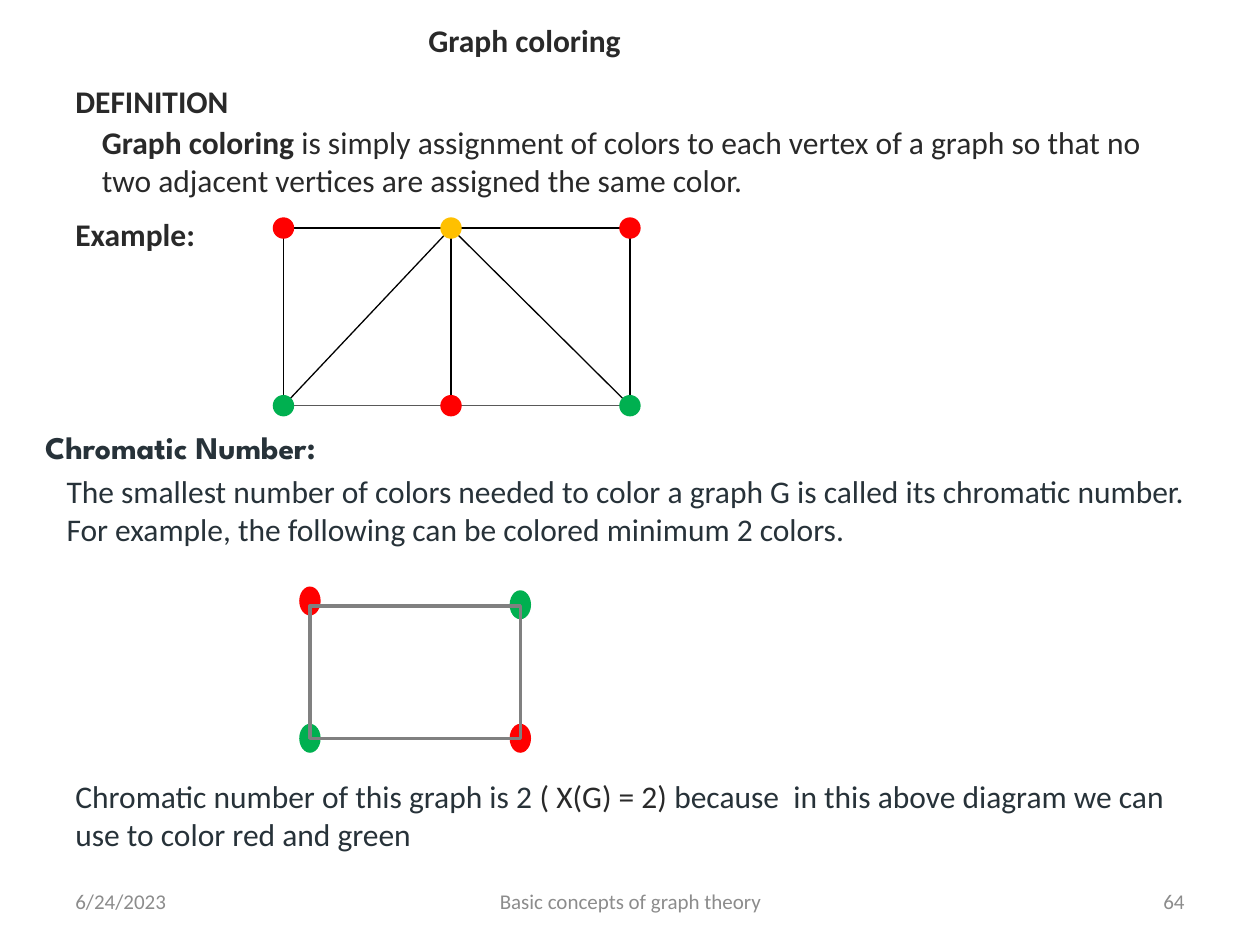
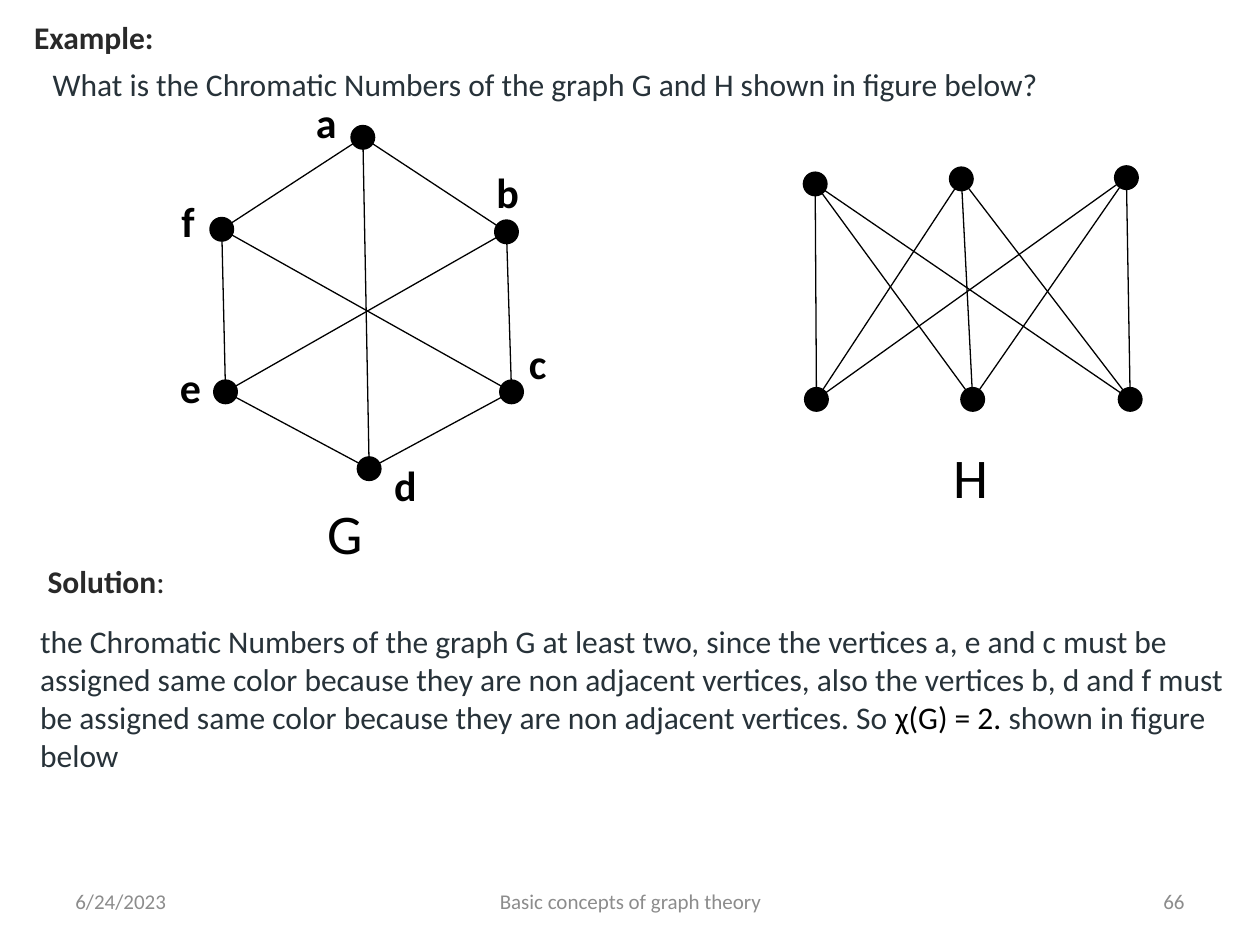
"""Build two slides on graph coloring and the chromatic number."""
import itertools
from dataclasses import dataclass

import lxml.etree
import pptx
import pptx.dml.color
import pptx.enum.shapes
import pptx.enum.text
import pptx.oxml.ns
import pptx.util

PX = 9144
SLIDE_SIZE = (1000, 750)
ALIGN = pptx.enum.text.PP_ALIGN
ANCHOR = pptx.enum.text.MSO_ANCHOR
FIT = pptx.enum.text.MSO_AUTO_SIZE
SHAPE = pptx.enum.shapes.MSO_SHAPE


@dataclass(frozen=True)
class Theme:
    """Colours, fonts and type sizes shared by the slides."""
    heading: str = "292929"
    body: str = "273239"
    black: str = "000000"
    footer: str = "8C8C8C"
    frame: str = "808080"
    soft_edge: str = "595959"
    red: str = "FF0000"
    green: str = "00B050"
    amber: str = "FFC000"
    font: str = "Calibri"
    display_font: str = "League Spartan"
    footer_size: int = 12
    text_size: int = 18
    label_size: int = 24
    graph_size: int = 32
    edge_width: float = 0.75
    frame_width: float = 2


THEME = Theme()
DOT = (17, 17)
OVAL = (17, 23)

FOOTER = [
    ((50, 695, 233, 40), "6/24/2023", ALIGN.LEFT),
    ((342, 695, 317, 40), "Basic concepts of graph theory", ALIGN.CENTER),
    ((717, 695, 233, 40), "{number}", ALIGN.RIGHT),
]

COLORING = {
    "number": 64,
    "title": ((330, 12, 174, 40), "Graph coloring"),
    "headings": [
        ((50, 60, 143, 40), [("DEFINITION", THEME.heading, True)], THEME.font),
        ((50, 166, 116, 40), [("Example:", THEME.heading, True)], THEME.font),
        ((26, 335, 256, 40), [("Chromatic Number:", THEME.body, True)], THEME.display_font),
    ],
    "paragraphs": [
        ((71, 93, 858, 71), [
            ("Graph coloring ", THEME.heading, True),
            ("is simply assignment of colors to each vertex of a graph so that no two "
             "adjacent vertices are assigned the same color.", THEME.heading, False)]),
        ((43, 370, 914, 71), [
            ("The smallest number of colors needed to color a graph G is called its "
             "chromatic number. For example, the following can be colored minimum 2 colors.",
             THEME.body, False)]),
        ((50, 612, 888, 71), [
            ("Chromatic number of this graph is 2 ", THEME.body, False),
            ("( Χ(G) = 2) ", THEME.heading, False),
            ("because  in this above diagram we can use to color red and green",
             THEME.body, False)]),
    ],
}

FAN_COLUMNS = (225, 358, 500)
FAN_ROWS = (181, 322)
FAN_COLORS = [(THEME.red, THEME.amber, THEME.red), (THEME.green, THEME.red, THEME.green)]
FAN_EDGES = [
    ("00", "01"), ("01", "02"), ("00", "10"), ("01", "11"),
    ("02", "12"), ("01", "10"), ("01", "12"),
]
FAN_SOFT_EDGES = [("10", "11"), ("11", "12")]

SQUARE_FRAME = (246, 481, 167, 105)
SQUARE_VERTICES = [
    (246, 477, THEME.red), (413, 480, THEME.green),
    (246, 586, THEME.green), (413, 586, THEME.red),
]

CHROMATIC = {
    "number": 66,
    "title": ((17, 9, 116, 40), "Example:"),
    "headings": [
        ((32, 47, 813, 40), [
            ("What is the Chromatic Numbers of the graph G and H shown in figure below?",
             THEME.body, False)], THEME.font),
        ((28, 441, 120, 40), [("Solution", THEME.heading, True),
                              (":", THEME.heading, False)], THEME.font),
    ],
    "paragraphs": [
        ((22, 489, 965, 131), [
            ("the Chromatic Numbers of the graph G at least two, since the vertices a, e and c "
             "must be assigned same color because they are non adjacent vertices, also the "
             "vertices b, d and f must be assigned same color because they are non adjacent "
             "vertices. So ", THEME.body, False),
            ("χ(G) = 2. ", THEME.black, False),
            ("shown in figure below", THEME.body, False)]),
    ],
}

GRAPH_G = {"a": (288, 109), "b": (402, 184), "c": (406, 311),
           "d": (293, 372), "e": (179, 311), "f": (176, 182)}
GRAPH_H = {"1": (647, 146), "2": (763, 142), "3": (894, 141),
           "4": (648, 317), "5": (772, 317), "6": (897, 317)}
BIPARTITE_GRAPHS = [(GRAPH_G, "ace", "bdf"), (GRAPH_H, "123", "456")]
VERTEX_LABELS = {"a": (241, 72, 37, 50), "b": (384, 127, 38, 50), "c": (410, 263, 34, 50),
                 "d": (303, 360, 38, 50), "e": (133, 282, 37, 50), "f": (134, 150, 31, 50)}
GRAPH_NAMES = {"G": (250, 391, 59, 64), "H": (747, 346, 59, 64)}


def emu(*lengths):
    return [round(length * PX) for length in lengths]


def rgb(color):
    return pptx.dml.color.RGBColor.from_string(color)


def write(box, spans, size=THEME.text_size, font=THEME.font, align=ALIGN.LEFT,
          anchor=ANCHOR.TOP, wrap=True, fit=FIT.SHAPE_TO_FIT_TEXT):
    frame = box.text_frame
    frame.word_wrap = wrap
    frame.auto_size = fit
    frame.vertical_anchor = anchor
    para = frame.paragraphs[0]
    para.alignment = align
    para.font.name = font
    para.font.size = pptx.util.Pt(size)
    for text, color, bold in spans:
        span = para.add_run()
        span.text = text
        span.font.bold = bold
        span.font.color.rgb = rgb(color)


def add_text(page, place, spans, **style):
    write(page.shapes.add_textbox(*emu(*place)), spans, **style)


def add_vertex(page, center, size, color, outline=None):
    width, height = size
    left, top = center[0] - width / 2, center[1] - height / 2
    vertex = page.shapes.add_shape(SHAPE.OVAL, *emu(left, top, width, height))
    vertex.shadow.inherit = False
    vertex.fill.solid()
    vertex.fill.fore_color.rgb = rgb(color)
    if outline:
        vertex.line.color.rgb = rgb(outline)
        vertex.line.width = pptx.util.Pt(THEME.frame_width)
    else:
        vertex.line.fill.background()


def add_edge(page, start, end, color=THEME.black):
    edge = page.shapes.add_connector(
        pptx.enum.shapes.MSO_CONNECTOR.STRAIGHT, *emu(*start, *end))
    edge.line.color.rgb = rgb(color)
    edge.line.width = pptx.util.Pt(THEME.edge_width)
    lxml.etree.SubElement(edge._element.spPr, pptx.oxml.ns.qn("a:effectLst"))


def add_page(deck, content):
    page = deck.slides.add_slide(deck.slide_layouts[5])
    place, text = content["title"]
    title = page.shapes.title
    title.left, title.top, title.width, title.height = emu(*place)
    write(title, [(text, THEME.heading, True)], wrap=False)
    for place, text, align in FOOTER:
        label = text.format(number=content["number"])
        add_text(page, place, [(label, THEME.footer, False)], size=THEME.footer_size,
                 align=align, anchor=ANCHOR.MIDDLE, fit=FIT.NONE)
    for place, spans, font in content["headings"]:
        add_text(page, place, spans, font=font, wrap=False)
    for place, spans in content["paragraphs"]:
        add_text(page, place, spans)
    return page


def draw_fan(page):
    centers = {f"{row}{column}": (x, y) for row, y in enumerate(FAN_ROWS)
               for column, x in enumerate(FAN_COLUMNS)}
    for edges, color in ((FAN_EDGES, THEME.black), (FAN_SOFT_EDGES, THEME.soft_edge)):
        for start, end in edges:
            add_edge(page, centers[start], centers[end], color)
    for center, color in zip(centers.values(), itertools.chain(*FAN_COLORS)):
        add_vertex(page, center, DOT, color)


def draw_square(page):
    for x, y, color in SQUARE_VERTICES:
        add_vertex(page, (x, y), OVAL, color)
    frame = page.shapes.add_shape(SHAPE.RECTANGLE, *emu(*SQUARE_FRAME))
    frame.shadow.inherit = False
    frame.fill.background()
    frame.line.color.rgb = rgb(THEME.frame)
    frame.line.width = pptx.util.Pt(THEME.frame_width)


def draw_bipartite(page):
    for centers, one_side, other_side in BIPARTITE_GRAPHS:
        for start, end in itertools.product(one_side, other_side):
            add_edge(page, centers[start], centers[end])
        for center in centers.values():
            add_vertex(page, center, DOT, THEME.black, THEME.black)
    for name, place in VERTEX_LABELS.items():
        add_text(page, place, [(name, THEME.black, True)], size=THEME.label_size, wrap=False)
    for name, place in GRAPH_NAMES.items():
        add_text(page, place, [(name, THEME.black, False)], size=THEME.graph_size)


def main():
    deck = pptx.Presentation()
    deck.slide_width, deck.slide_height = emu(*SLIDE_SIZE)
    coloring_page = add_page(deck, COLORING)
    draw_fan(coloring_page)
    draw_square(coloring_page)
    draw_bipartite(add_page(deck, CHROMATIC))
    deck.save("out.pptx")


if __name__ == "__main__":
    main()
